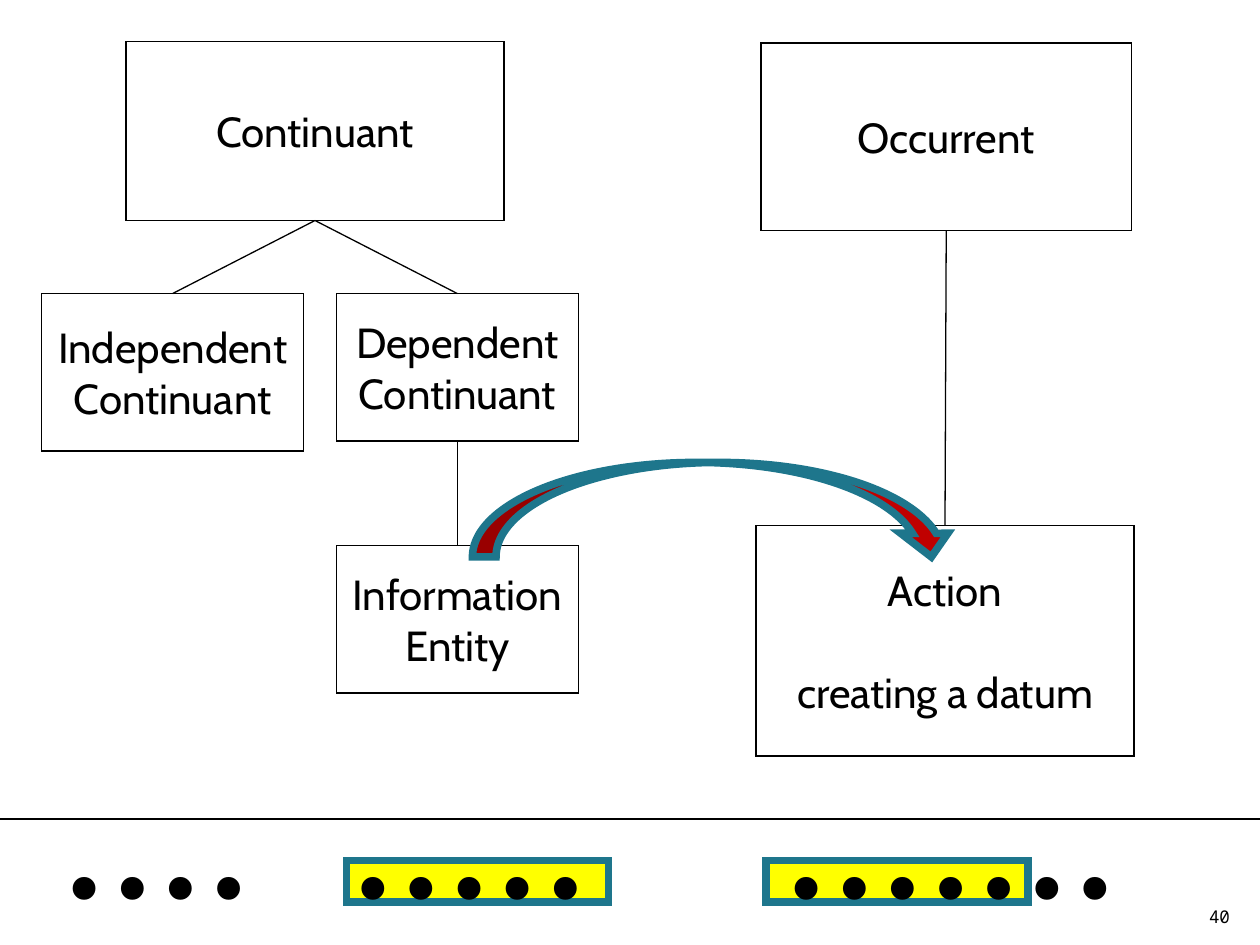
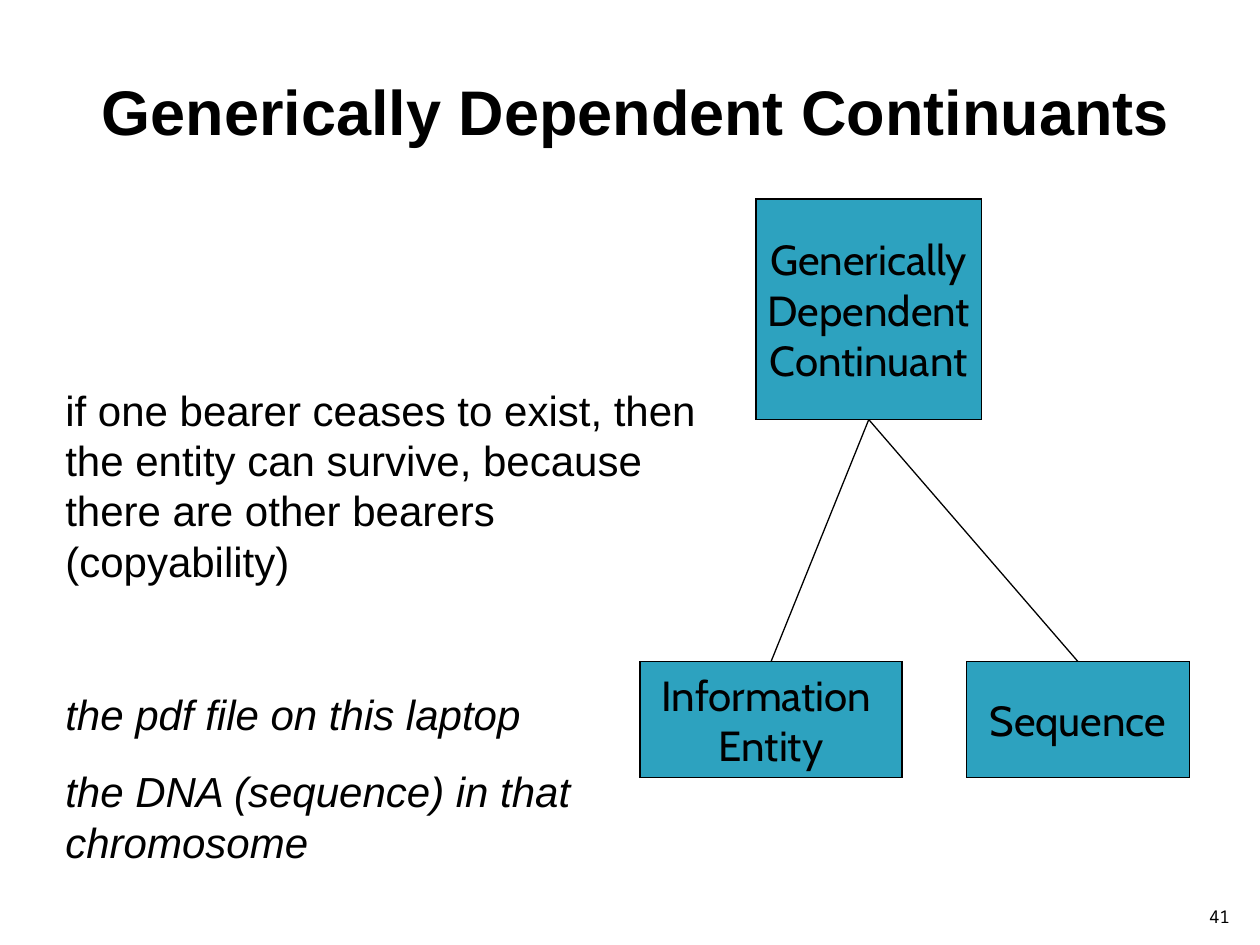
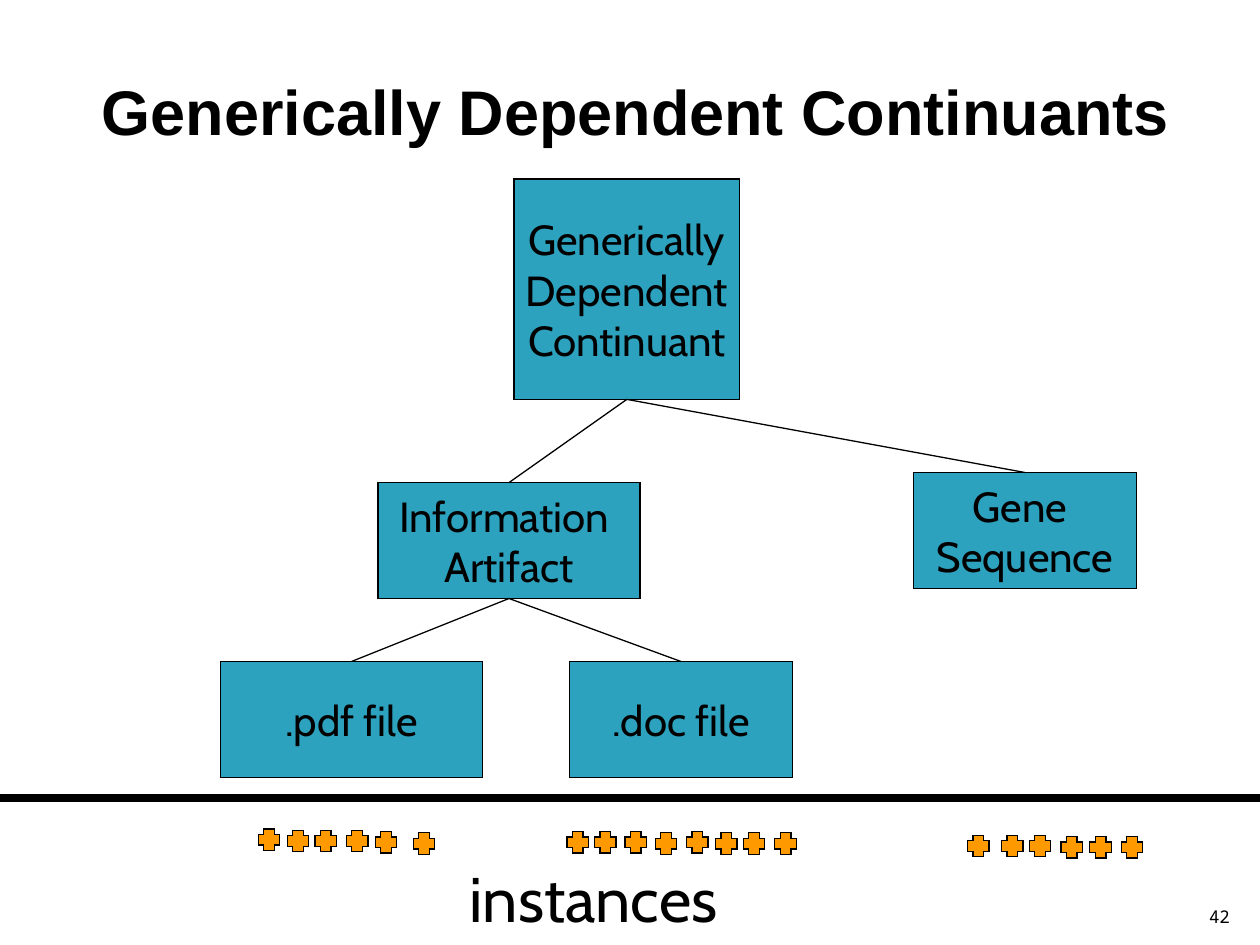
from lxml import etree
from pptx import Presentation
from pptx.dml.color import RGBColor
from pptx.enum.shapes import MSO_CONNECTOR, MSO_SHAPE
from pptx.enum.text import MSO_ANCHOR, PP_ALIGN
from pptx.oxml.ns import qn
from pptx.util import Inches, Pt

RECT, PLUS = MSO_SHAPE.RECTANGLE, MSO_SHAPE.CROSS
ARROW = MSO_SHAPE.CURVED_DOWN_ARROW
LINE = MSO_CONNECTOR.STRAIGHT
TOP, MID, LOW = MSO_ANCHOR.TOP, MSO_ANCHOR.MIDDLE, MSO_ANCHOR.BOTTOM
LEFT, MIDST, RIGHT = PP_ALIGN.LEFT, PP_ALIGN.CENTER, PP_ALIGN.RIGHT

HUE = {"ink": "000000", "teal": "2DA2BF", "edge": "1E768C", "sun": "FFFF00",
       "red": "C00000", "gold": "FF9900"}
SANS, BODY, MONO, SERIF = "Cabin", "Arial", "Noto Sans Mono", "Times New Roman"
THIN, BOLD, RIM = 0.75, 4.5, 4.34
TITLE = "Generically Dependent Continuants"

# name: (left, top, width, height, lines)
KINDS = {
    "cont": (1, 0.33, 3, 1.42, ["Continuant"]),
    "occ": (6.04, 0.34, 2.94, 1.49, ["Occurrent"]),
    "indep": (0.33, 2.33, 2.08, 1.25, ["Independent", "Continuant"]),
    "dep": (2.67, 2.33, 1.92, 1.17, ["Dependent", "Continuant"]),
    "info": (2.67, 4.33, 1.92, 1.17, ["Information", "Entity"]),
    "act": (6, 4.17, 3, 1.83, ["Action", "creating a datum"]),
}
KIND_TIES = [("cont", "indep"), ("cont", "dep"), ("dep", "info"), ("occ", "act")]
BARS = [6.08, 2.75]
DOTS = "\t....\t.....\t......."
DOT_TABS = [0.38, 2.67, 6.11]

GENERIC = ["Generically", "Dependent", "Continuant"]
BEARERS = {
    "gen": (6, 1.58, 1.79, 1.75, GENERIC),
    "info": (5.08, 5.25, 2.08, 0.92, ["Information ", "Entity"]),
    "seq": (7.67, 5.25, 1.77, 0.92, ["Sequence"]),
}
BEARER_TIES = [("gen", "info"), ("gen", "seq")]
# text, space before in points, italic
NOTES = [
    ("if one bearer ceases to exist, then the entity can survive, "
     "because there are other bearers (copyability)", 0, False),
    ("the pdf file on this laptop", 59, True),
    ("the DNA (sequence) in that chromosome", 15, True),
]

FILES = {
    "gen": (4.08, 1.42, 1.79, 1.75, GENERIC),
    "info": (3, 3.83, 2.08, 0.92, ["Information ", "Artifact"]),
    "gene": (7.25, 3.75, 1.77, 0.92, ["Gene ", "Sequence"]),
    "pdf": (1.75, 5.25, 2.08, 0.92, [".pdf file"]),
    "doc": (4.52, 5.25, 1.77, 0.92, [".doc file"]),
}
FILE_TIES = [("gen", "info"), ("gen", "gene"), ("info", "pdf"), ("info", "doc")]
# left, top
MARKS = [
    (2.05, 6.58), (2.28, 6.59), (2.5, 6.59), (2.75, 6.59), (2.98, 6.6),
    (3.28, 6.61),
    (4.5, 6.6), (4.72, 6.6), (4.96, 6.6), (5.2, 6.61), (5.45, 6.6),
    (5.68, 6.61), (5.9, 6.61), (6.15, 6.61),
    (7.68, 6.63), (7.95, 6.63), (8.17, 6.63), (8.42, 6.64), (8.65, 6.64),
    (8.9, 6.64),
]


def rgb(name):
    return RGBColor.from_string(HUE[name])


def form(slide, kind, at, fill, edge="ink", width=THIN):
    """Add a preset shape with sharp outline corners."""
    shape = slide.shapes.add_shape(kind, *map(Inches, at))
    shape.shadow.inherit = False
    if fill:
        shape.fill.solid()
        shape.fill.fore_color.rgb = rgb(fill)
    else:
        shape.fill.background()
    shape.line.color.rgb = rgb(edge)
    shape.line.width = Pt(width)
    rim = shape._element.spPr.find(qn("a:ln"))
    etree.SubElement(rim, qn("a:miter"), lim="800000")
    return shape


def write(shape, lines, face, size, align=MIDST, anchor=MID, wrap=True, bold=False):
    frame = shape.text_frame
    frame.word_wrap, frame.vertical_anchor = wrap, anchor
    frame.text = "\n".join(lines)
    for para in frame.paragraphs:
        para.alignment = align
        for run in para.runs:
            font = run.font
            font.name, font.size, font.bold = face, Pt(size), bold
            font.color.rgb = rgb("ink")
    return frame


def label(slide, at, lines, *args, **opts):
    box = slide.shapes.add_textbox(*map(Inches, at))
    return write(box, lines, *args, **opts)


def link(slide, ends, width=THIN):
    line = slide.shapes.add_connector(LINE, *map(Inches, ends))
    line.line.color.rgb = rgb("ink")
    line.line.width = Pt(width)
    etree.SubElement(line._element.spPr, qn("a:effectLst"))
    return line


def tree(slide, nodes, ties, fill=None):
    """Draw labelled boxes and join each parent's foot to its child's head."""
    boxes = {}
    for name, (*at, lines) in nodes.items():
        boxes[name] = form(slide, RECT, at, fill)
        write(boxes[name], lines, SANS, 24, wrap=False)
    for up, down in ties:
        line = link(slide, (0, 0, 1, 1))
        line.begin_connect(boxes[up], 2)
        line.end_connect(boxes[down], 0)
    return boxes


def start(deck, number, title=None):
    slide = deck.slides.add_slide(deck.slide_layouts[6])
    if title:
        label(slide, (0.42, 0.25, 9.25, 1.25), [title], BODY, 36, bold=True)
    label(slide, (9.46, 7.01, 0.4, 0.4), [str(number)], MONO, 10, RIGHT, LOW)
    return slide


def kinds(deck):
    slide = start(deck, 40)
    for left in BARS:
        form(slide, RECT, (left, 6.83, 2.08, 0.33), "sun", "edge", RIM)
    boxes = tree(slide, KINDS, KIND_TIES)
    boxes["act"].text_frame.paragraphs[1].space_before = Pt(29)
    link(slide, (0, 6.5, 10.25, 6.5))
    frame = label(slide, (0, 6.27, 10.17, 1.11), [DOTS], SERIF, 110, LEFT, TOP)
    para = frame.paragraphs[0]
    tabs = etree.SubElement(para._p.get_or_add_pPr(), qn("a:tabLst"))
    for stop in DOT_TABS:
        etree.SubElement(tabs, qn("a:tab"), pos=str(Inches(stop)), algn="l")
    para.line_spacing = 0.55
    form(slide, ARROW, (3.75, 3.67, 3.83, 0.75), "red", "edge", RIM)


def bearers(deck):
    slide = start(deck, 41, TITLE)
    tree(slide, BEARERS, BEARER_TIES, "teal")
    frame = label(slide, (0.42, 3, 5.25, 3.93), [n[0] for n in NOTES],
                  BODY, 24, LEFT, TOP)
    for para, (_, gap, slant) in zip(frame.paragraphs, NOTES):
        para.space_before = Pt(gap)
        para.runs[0].font.italic = slant


def files(deck):
    slide = start(deck, 42, TITLE)
    tree(slide, FILES, FILE_TIES, "teal")
    link(slide, (0, 6.33, 10.33, 6.33), BOLD)
    for left, top in MARKS:
        form(slide, PLUS, (left, top, 0.17, 0.17), "gold")
    label(slide, (1.25, 6.75, 6.92, 0.75), ["instances"], SANS, 36)


def main():
    deck = Presentation()
    deck.slide_width, deck.slide_height = Inches(10), Inches(7.5)
    for build in (kinds, bearers, files):
        build(deck)
    deck.save("out.pptx")


if __name__ == "__main__":
    main()
